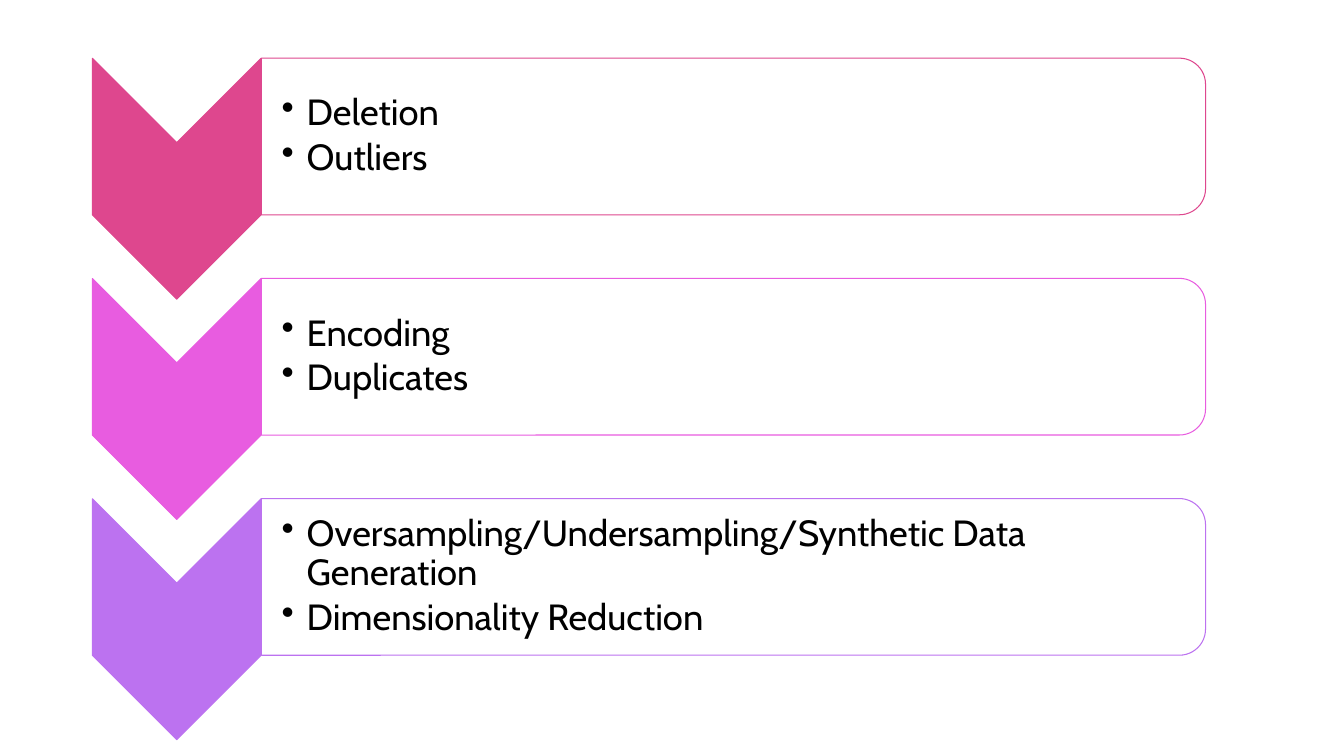
import pptx
import pptx.util
import pptx.dml.color
import pptx.enum.shapes
import pptx.enum.text
import pptx.oxml.ns
import lxml.etree

Pt = pptx.util.Pt
SHAPES = pptx.enum.shapes.MSO_SHAPE
COLORS = {"pink": "DE478E", "magenta": "E85CE0", "violet": "BC72F0",
          "panel": "FFFFFF", "text": "000000"}

STEPS = [
    ("pink", ["Deletion", "Outliers"]),
    ("magenta", ["Encoding", "Duplicates"]),
    ("violet", ["Oversampling/Undersampling/Synthetic Data Generation",
                "Dimensionality Reduction"]),
]
STEP_PITCH = 157.3
CHEVRON_CENTER = (126.2, 127.7)
PANEL_CENTER = (523.9, 97.5)


def rgb(name):
    return pptx.dml.color.RGBColor.from_string(COLORS[name])


def add_child(parent, tag, **attributes):
    child = lxml.etree.SubElement(parent, pptx.oxml.ns.qn(tag))
    for key, value in attributes.items():
        child.set(key, str(value))


def write_text(paragraph, text, size=26, color="text", font="Cabin"):
    run = paragraph.add_run()
    run.text = text
    run.font.size = Pt(size)
    run.font.name = font
    run.font.color.rgb = rgb(color)


class ChevronList:
    line_width = 0.75
    indent = 18

    def __init__(self, slide):
        self.slide = slide

    def turned_shape(self, kind, center, length, breadth, fill, line, opacity=100):
        """Add a shape turned by 90 degrees about its center."""
        x, y = center
        shape = self.slide.shapes.add_shape(
            kind, Pt(x - length / 2), Pt(y - breadth / 2), Pt(length), Pt(breadth))
        shape.rotation = 90
        shape.shadow.inherit = False
        shape.fill.solid()
        shape.fill.fore_color.rgb = rgb(fill)
        shape.line.color.rgb = rgb(line)
        shape.line.width = Pt(self.line_width)
        if opacity < 100:
            fill_color = shape._element.spPr.find(pptx.oxml.ns.qn("a:solidFill"))[0]
            add_child(fill_color, "a:alpha", val=opacity * 1000)

    def chevron(self, center, color):
        self.turned_shape(SHAPES.CHEVRON, center, 172.1, 120.5, color, color)

    def panel(self, center, color):
        self.turned_shape(SHAPES.ROUND_2_SAME_RECTANGLE, center, 111.9, 674.4,
                          "panel", color, opacity=90)

    def bullets(self, left, center_y, width, height, items):
        box = self.slide.shapes.add_textbox(
            Pt(left), Pt(center_y - height / 2), Pt(width), Pt(height))
        frame = box.text_frame
        frame.word_wrap = True
        frame.vertical_anchor = pptx.enum.text.MSO_ANCHOR.MIDDLE
        frame.margin_left = Pt(14.4)
        frame.margin_right = frame.margin_top = frame.margin_bottom = Pt(1.3)
        for index, item in enumerate(items):
            paragraph = frame.add_paragraph() if index else frame.paragraphs[0]
            paragraph.line_spacing = 0.9
            paragraph.space_after = Pt(3.9)
            properties = paragraph._p.get_or_add_pPr()
            properties.set("marL", str(Pt(self.indent)))
            properties.set("indent", str(-Pt(self.indent)))
            add_child(properties, "a:buChar", char="•")
            write_text(paragraph, item)


def main():
    presentation = pptx.Presentation()
    presentation.slide_width = Pt(960)
    presentation.slide_height = Pt(540)
    slide = presentation.slides.add_slide(presentation.slide_layouts[6])
    steps = ChevronList(slide)
    for index, (color, items) in enumerate(STEPS):
        offset = index * STEP_PITCH
        chevron_x, chevron_y = CHEVRON_CENTER
        panel_x, panel_y = PANEL_CENTER
        steps.chevron((chevron_x, chevron_y + offset), color)
        steps.panel((panel_x, panel_y + offset), color)
        steps.bullets(186.7, panel_y + offset, 668.9, 101, items)
    presentation.save("out.pptx")


if __name__ == "__main__":
    main()
